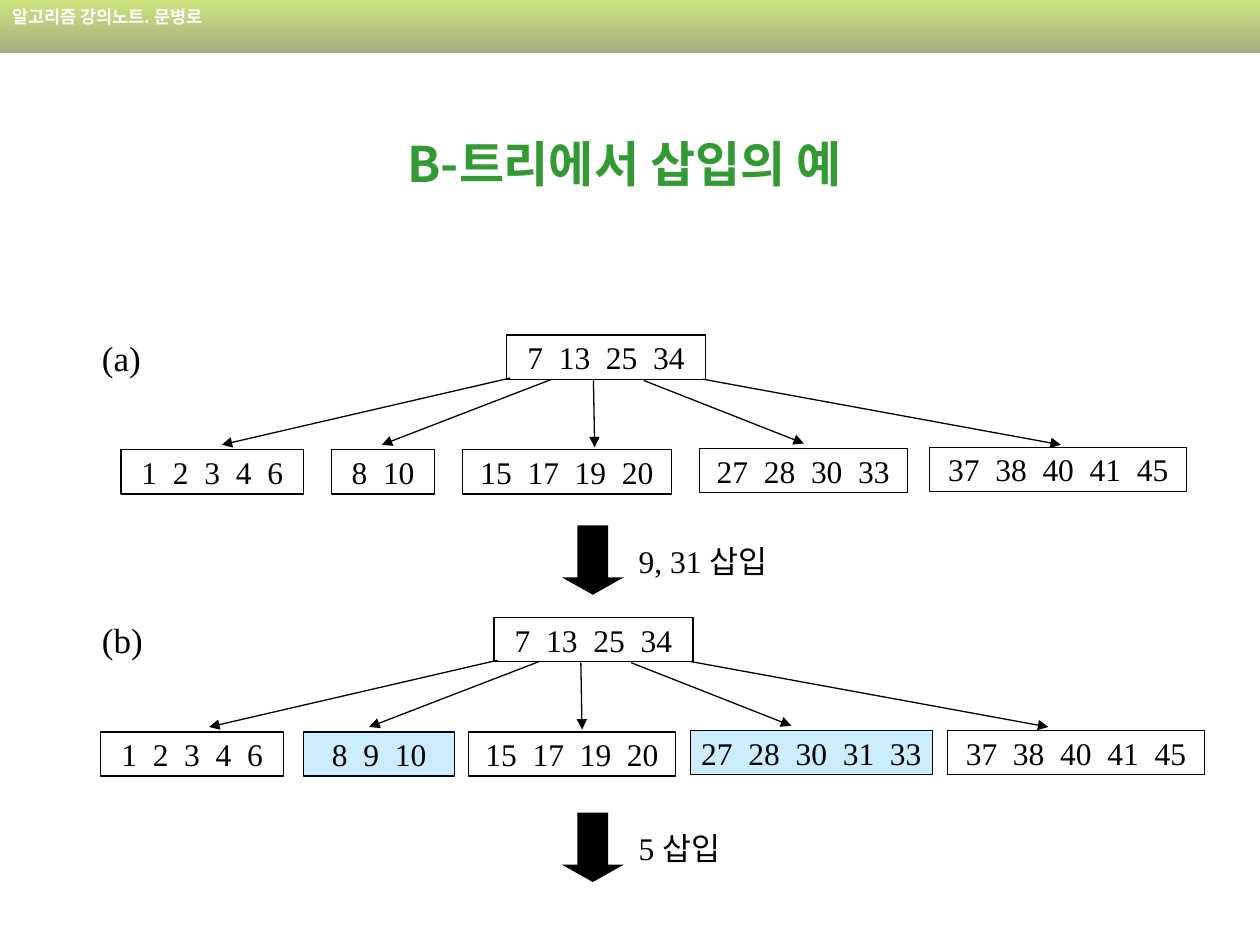
from lxml.etree import SubElement
from pptx import Presentation
from pptx.dml.color import RGBColor
from pptx.enum.shapes import MSO_CONNECTOR as Connector, MSO_SHAPE as Shape
from pptx.enum.text import MSO_ANCHOR as Anchor, MSO_AUTO_SIZE as AutoSize, PP_ALIGN as Align
from pptx.oxml.ns import qn
from pptx.util import Inches, Pt

COLORS = {
    "black": "000000", "white": "FFFFFF", "title": "339933",
    "changed": "CCECFF", "band_top": "CCE580", "band_bottom": "A3AE80",
}
KOREAN = "Noto Sans CJK KR"
SERIF = "Times New Roman"
NODE_HEIGHT = 0.35

# Pointers from root to children, as offsets from the root's top left corner
POINTERS = [
    ((0.03, 0.34), (-2.26, 0.87)),
    ((0.36, 0.35), (-0.99, 0.87)),
    ((0.69, 0.36), (0.70, 0.89)),
    ((1.09, 0.36), (2.36, 0.86)),
    ((1.56, 0.35), (4.40, 0.87)),
]

# Each tree: label, root corner, leaves (keys, left, top, width, changed)
TREES = [
    ("(a)", (4.02, 2.66), [
        ("1  2  3  4  6", 0.96, 3.57, 1.45, False),
        ("8  10", 2.63, 3.57, 0.82, False),
        ("15  17  19  20", 3.67, 3.57, 1.66, False),
        ("27  28  30  33", 5.55, 3.56, 1.65, False),
        ("37  38  40  41  45", 7.38, 3.55, 2.04, False),
    ]),
    ("(b)", (3.92, 4.90), [
        ("1  2  3  4  6", 0.80, 5.81, 1.45, False),
        ("8  9  10", 2.41, 5.81, 1.20, True),
        ("15  17  19  20", 3.72, 5.81, 1.64, False),
        ("27  28  30  31  33", 5.48, 5.80, 1.92, True),
        ("37  38  40  41  45", 7.52, 5.80, 2.04, False),
    ]),
]
STEPS = [("9, 31 삽입", 4.17, 1.28), ("5 삽입", 6.45, 0.90)]


def color(name):
    return RGBColor.from_string(COLORS[name])


def write(shape, text, size, font=SERIF, ink="black", bold=False,
          align=Align.LEFT, anchor=Anchor.TOP, wrap=False):
    frame = shape.text_frame
    frame_format = {"word_wrap": wrap, "vertical_anchor": anchor,
                    "auto_size": AutoSize.NONE}
    for name, value in frame_format.items():
        setattr(frame, name, value)
    paragraph = frame.paragraphs[0]
    paragraph.alignment = align
    run = paragraph.add_run()
    run.text = text
    for name, value in {"size": Pt(size), "bold": bold, "name": font}.items():
        setattr(run.font, name, value)
    run.font.color.rgb = color(ink)
    if font == KOREAN:
        SubElement(run.font._element, qn("a:ea"), typeface=font)


def add_shape(slide, kind, box, fill=None):
    shape = slide.shapes.add_shape(kind, *map(Inches, box))
    shape.shadow.inherit = False
    if fill:
        shape.fill.solid()
        shape.fill.fore_color.rgb = color(fill)
    else:
        shape.fill.background()
    shape.line.fill.background()
    return shape


def add_label(slide, box, text, size):
    label = slide.shapes.add_textbox(*map(Inches, box))
    write(label, text, size)


def add_header(slide, box):
    band = add_shape(slide, Shape.RECTANGLE, box)
    band.fill.gradient()
    band.fill.gradient_angle = 270
    for stop, name in zip(band.fill.gradient_stops, ("band_top", "band_bottom")):
        stop.color.rgb = color(name)
    write(band, "알고리즘 강의노트. 문병로", 10, KOREAN, "white", bold=True, wrap=True)


def add_title(slide, box):
    title = slide.shapes.title
    for name, value in zip(("left", "top", "width", "height"), box):
        setattr(title, name, Inches(value))
    write(title, "B-트리에서 삽입의 예 ", 28, KOREAN, "title", bold=True,
          align=Align.CENTER, anchor=Anchor.MIDDLE, wrap=True)


def add_node(slide, box, keys, changed=False):
    node = add_shape(slide, Shape.RECTANGLE, box, "changed" if changed else None)
    node.line.color.rgb = color("black")
    node.line.width = Pt(0.75)
    write(node, keys, 18, align=Align.CENTER, anchor=Anchor.MIDDLE)


def add_pointer(slide, start, end):
    pointer = slide.shapes.add_connector(
        Connector.STRAIGHT, *map(Inches, (*start, *end)))
    pointer.line.color.rgb = color("black")
    pointer.line.width = Pt(0.75)
    SubElement(pointer.line._get_or_add_ln(), qn("a:tailEnd"), type="triangle")
    SubElement(pointer._element.spPr, qn("a:effectLst"))


def add_tree(slide, label, root, leaves):
    left, top = root
    add_label(slide, (0.71, top - 0.04, 0.52, 0.44), label, 20)
    add_node(slide, (left, top, 1.58, NODE_HEIGHT), "7  13  25  34")
    for keys, leaf_left, leaf_top, width, changed in leaves:
        add_node(slide, (leaf_left, leaf_top, width, NODE_HEIGHT), keys, changed)
    for start, end in POINTERS:
        add_pointer(slide, (left + start[0], top + start[1]),
                    (left + end[0], top + end[1]))


def add_step(slide, text, top, width):
    arrow = add_shape(slide, Shape.DOWN_ARROW, (4.46, top, 0.49, 0.55), "black")
    arrow.adjustments[0] = 0.5
    arrow.adjustments[1] = 0.28
    add_label(slide, (4.97, top + 0.08, width, 0.4), text, 18)


def main():
    presentation = Presentation()
    presentation.slide_width = Inches(10)
    presentation.slide_height = Inches(7.5)
    slide = presentation.slides.add_slide(presentation.slide_layouts[5])

    # Header band and title
    add_header(slide, (0, 0, 10, 0.42))
    add_title(slide, (0.75, 0.67, 8.5, 1.25))

    # Trees before and after each insertion
    for tree in TREES:
        add_tree(slide, *tree)
    for step in STEPS:
        add_step(slide, *step)

    presentation.save("out.pptx")


if __name__ == "__main__":
    main()
